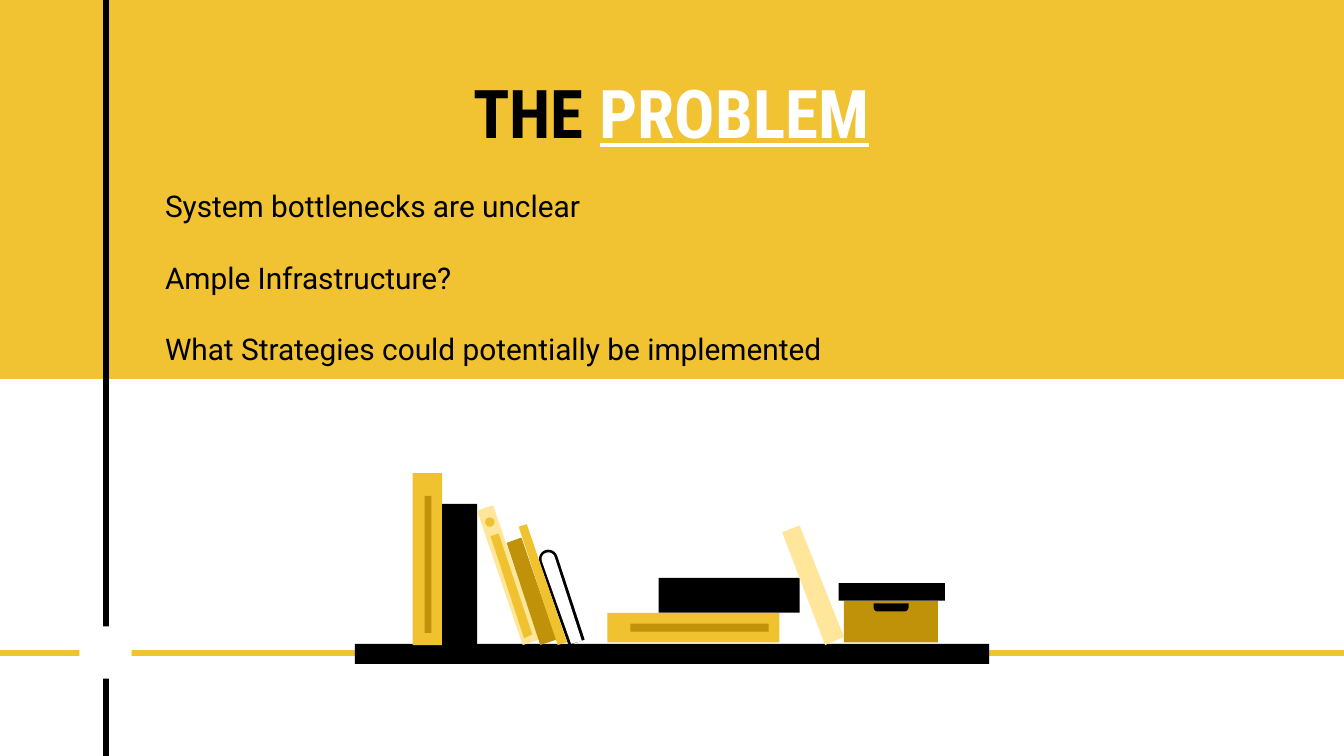
from math import cos, radians, sin

from lxml.etree import SubElement
from pptx import Presentation
from pptx.dml.color import RGBColor
from pptx.enum.shapes import MSO_CONNECTOR as Connector, MSO_SHAPE as Shape
from pptx.enum.text import MSO_ANCHOR as Anchor, PP_ALIGN as Align
from pptx.oxml.ns import qn
from pptx.util import Inches, Pt

COLORS = {
    "yellow": "F1C232",
    "book": "F1C22F",
    "ochre": "C0920A",
    "cream": "FFE69A",
    "black": "000000",
    "white": "FFFFFF",
}
WIDTH = 10
HEIGHT = WIDTH * 9 / 16
TITLE = [("THE ", "black", False), ("PROBLEM", "white", True)]
PROBLEMS = [
    "System bottlenecks are unclear",
    "Ample Infrastructure?",
    "What Strategies could potentially be implemented",
]

# Backdrop: (left, top, width, height, colour) and (start, end, colour)
BAND = (0, 0, WIDTH, 2.82, "yellow")
AXES = [
    ((0.79, -0.02), (0.79, 5.65), "black"),
    ((10.2, 4.86), (-0.08, 4.86), "yellow"),
]
CROSSING = (0.59, 4.66, 0.39, 0.39, "white")

SHELF = (2.64, 4.79, 4.72, 0.15, "black")
UPRIGHT_BOOKS = [
    (3.07, 3.52, 0.22, 1.28, "book"),
    (3.16, 3.69, 0.05, 1.02, "ochre"),
    (3.29, 3.75, 0.26, 1.05, "black"),
]
STACKED_BOOKS = [
    (4.52, 4.56, 1.28, 0.22, "book"),
    (4.69, 4.64, 1.03, 0.06, "ochre"),
    (4.9, 4.3, 1.05, 0.26, "black"),
]
STORAGE_BOX = [
    (6.28, 4.47, 0.7, 0.31, "ochre"),
    (6.24, 4.34, 0.79, 0.13, "black"),
]
BOX_HANDLE = (6.5, 4.49, 0.26, 0.06, "black")
LEANING_BOOKS = [
    ([(5.82, 3.96), (5.95, 3.91), (6.28, 4.74), (6.14, 4.8)], "cream"),
    ([(3.55, 3.8), (3.67, 3.76), (4.01, 4.76), (3.89, 4.8)], "cream"),
    ([(3.65, 3.99), (3.71, 3.97), (3.96, 4.72), (3.9, 4.75)], "book"),
    ([(3.77, 4.04), (3.88, 4), (4.14, 4.76), (4.02, 4.8)], "ochre"),
    ([(3.86, 3.92), (3.92, 3.9), (4.22, 4.78), (4.15, 4.8)], "book"),
]
SPINE_DOT = (3.61, 3.85, 0.07, 0.07, "book")
# Bookend layers: radius of the rounded top, feet, colour
BOOKEND_TOP = (4.08, 4.16)
BOOKEND = [
    (0.07, [(4.35, 4.76), (4.23, 4.8)], "black"),
    (0.05, [(4.33, 4.77), (4.25, 4.79)], "white"),
]


def color(name):
    return RGBColor.from_string(COLORS[name])


def paint(shape, name):
    shape.shadow.inherit = False
    shape.fill.solid()
    shape.fill.fore_color.rgb = color(name)
    shape.line.fill.background()


def add_block(page, block, kind=Shape.RECTANGLE):
    *frame, name = block
    shape = page.shapes.add_shape(kind, *map(Inches, frame))
    paint(shape, name)
    return shape


def add_polygon(page, points, name):
    start, *rest = [(Inches(x), Inches(y)) for x, y in points]
    builder = page.shapes.build_freeform(*start)
    builder.add_line_segments(rest, close=True)
    paint(builder.convert_to_shape(), name)


def add_axis(page, start, end, name):
    axis = page.shapes.add_connector(
        Connector.STRAIGHT, *map(Inches, start + end))
    axis.line.color.rgb = color(name)
    axis.line.width = Pt(3)
    SubElement(axis._element.spPr, qn("a:effectLst"))


def rounded_top(radius, lean=162, steps=12):
    """Points of a half circle that starts at the lean angle."""
    x, y = BOOKEND_TOP
    angles = [radians(lean + 180 * step / steps) for step in range(steps + 1)]
    return [(x + radius * cos(a), y + radius * sin(a)) for a in angles]


def add_text_frame(page, *frame):
    text_frame = page.shapes.add_textbox(*map(Inches, frame)).text_frame
    text_frame.word_wrap = True
    text_frame.margin_left = text_frame.margin_right = Inches(0.1)
    text_frame.margin_top = text_frame.margin_bottom = Inches(0.1)
    return text_frame


def style(span, font, size, name):
    span.font.name = font
    span.font.size = Pt(size)
    span.font.color.rgb = color(name)


def add_title(page):
    text_frame = add_text_frame(page, 2.99, 0.4, 4.01, 0.83)
    text_frame.vertical_anchor = Anchor.BOTTOM
    para = text_frame.paragraphs[0]
    para.alignment = Align.CENTER
    for words, name, underline in TITLE:
        span = para.add_run()
        span.text = words
        style(span, "Roboto Condensed", 36, name)
        span.font.bold = True
        span.font.underline = underline


def add_problems(page):
    text_frame = add_text_frame(page, 1.13, 1.3, 8.46, 1.53)
    text_frame.text = "\n".join(PROBLEMS)
    for index, para in enumerate(text_frame.paragraphs):
        para.space_before = Pt(19 if index else 0)
        style(para.runs[0], "Roboto", 16, "black")


def main():
    deck = Presentation()
    deck.slide_width, deck.slide_height = Inches(WIDTH), Inches(HEIGHT)
    page = deck.slides.add_slide(deck.slide_layouts[6])

    add_block(page, BAND)
    for axis in AXES:
        add_axis(page, *axis)
    add_block(page, CROSSING)
    add_title(page)

    for block in [SHELF] + UPRIGHT_BOOKS + STACKED_BOOKS + STORAGE_BOX:
        add_block(page, block)
    handle = add_block(page, BOX_HANDLE, Shape.ROUND_2_SAME_RECTANGLE)
    handle.adjustments[0] = 0.5
    handle.rotation = 180

    for radius, feet, name in BOOKEND:
        add_polygon(page, rounded_top(radius) + feet, name)
    for points, name in LEANING_BOOKS:
        add_polygon(page, points, name)
    add_block(page, SPINE_DOT, Shape.OVAL)
    add_problems(page)

    deck.save("out.pptx")


if __name__ == "__main__":
    main()
